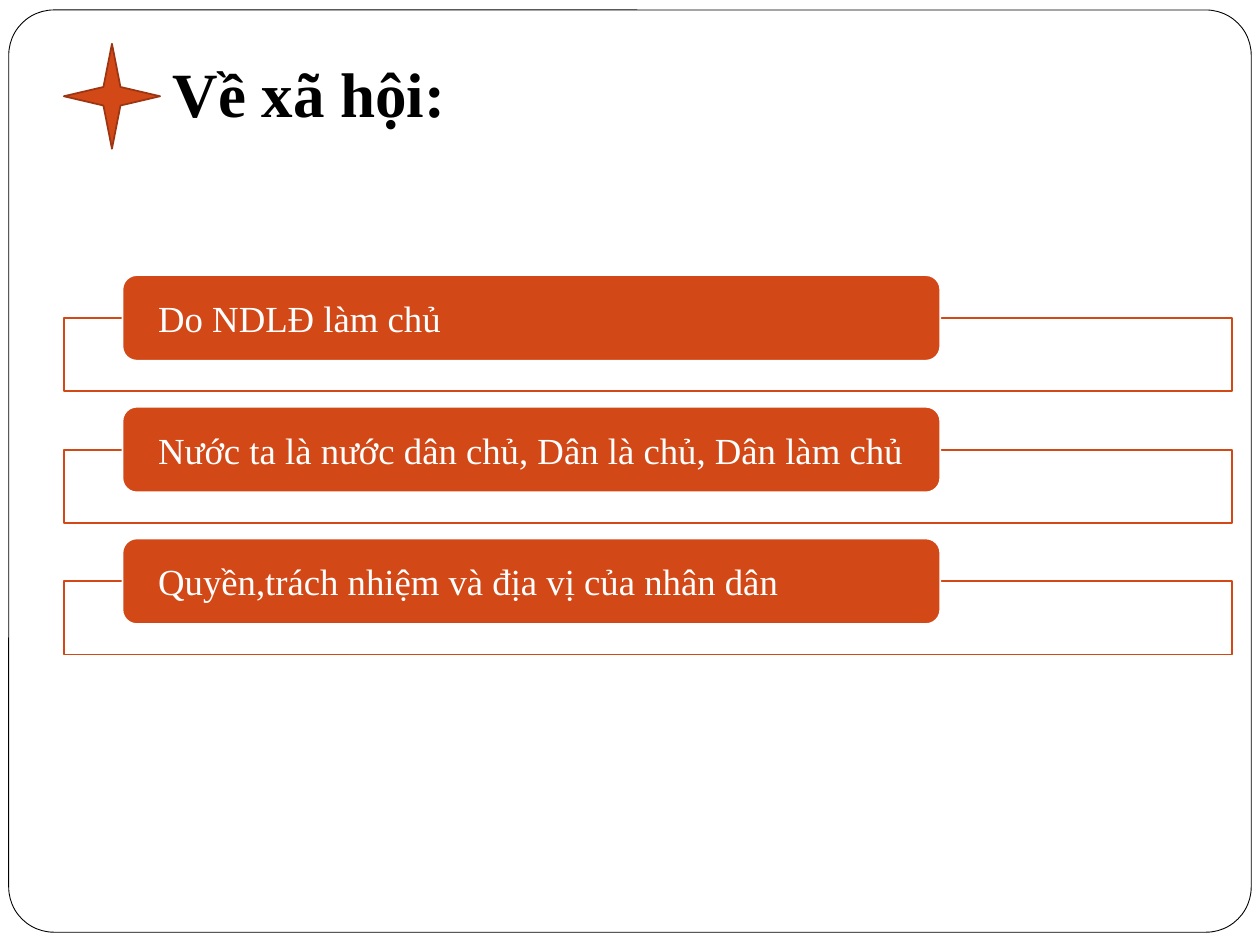
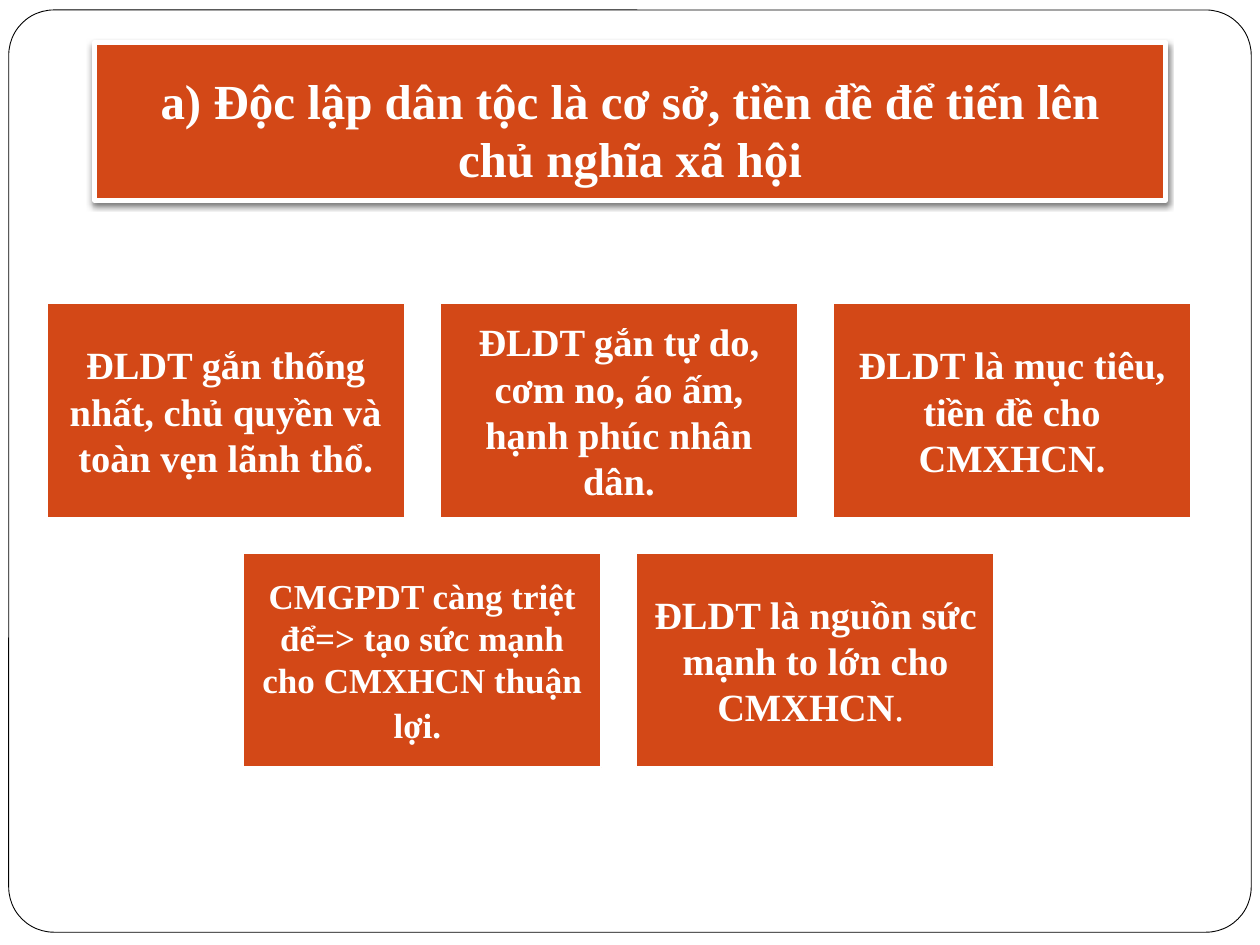
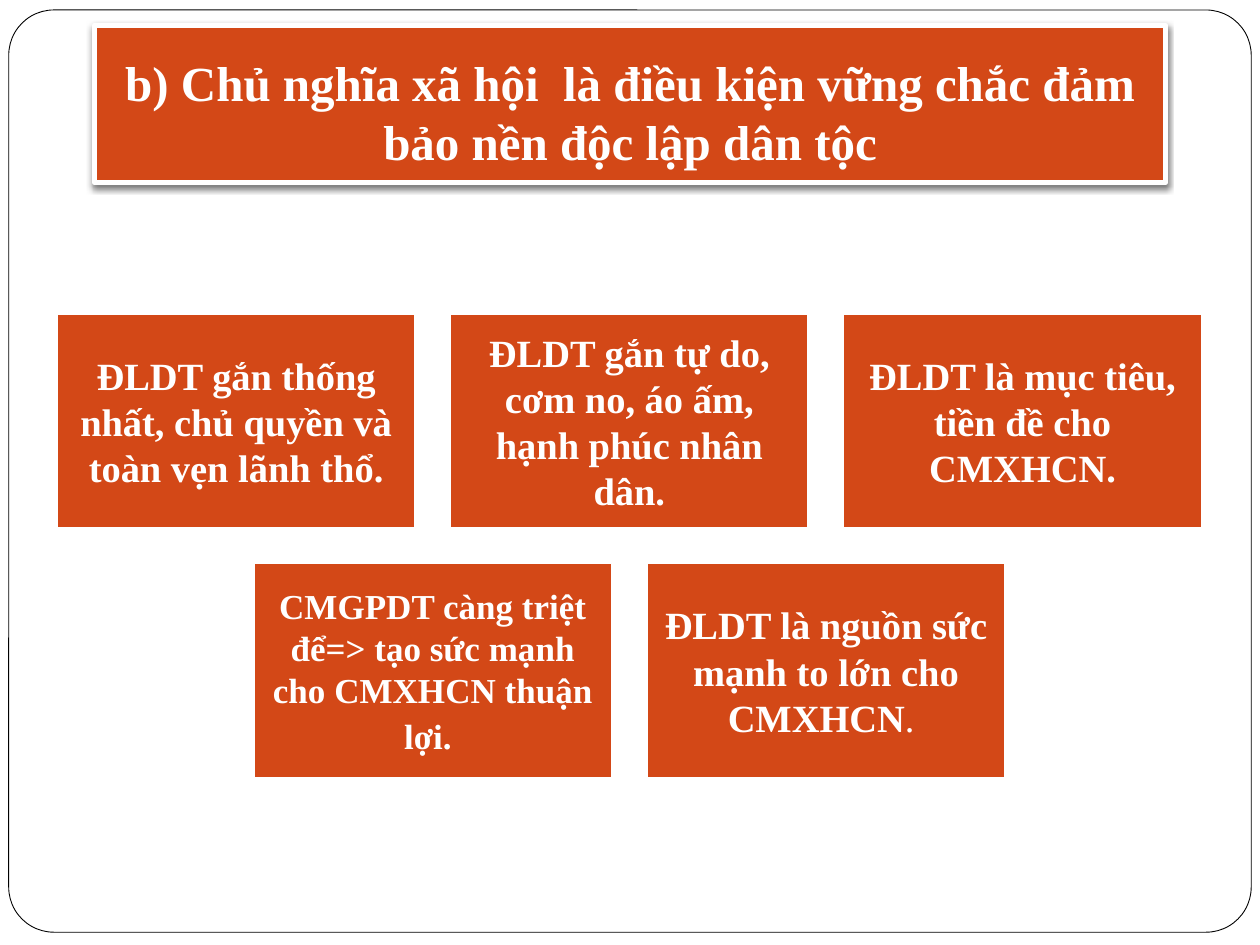
import pptx
import pptx.dml.color
import pptx.enum.shapes
import pptx.enum.text
import pptx.oxml
import pptx.oxml.ns
import pptx.util
from lxml import etree

Pt = pptx.util.Pt
RGBColor = pptx.dml.color.RGBColor
SHAPE = pptx.enum.shapes.MSO_SHAPE
ALIGN = pptx.enum.text.PP_ALIGN
ANCHOR = pptx.enum.text.MSO_ANCHOR
qn = pptx.oxml.ns.qn

ORANGE = RGBColor(0xD3, 0x48, 0x17)
RUST = RGBColor(0x9C, 0x35, 0x11)
WHITE = RGBColor(0xFF, 0xFF, 0xFF)
BLACK = RGBColor(0, 0, 0)
FONT = "Times New Roman"

TITLE_INSETS = (7.2, 3.6, 7.2, 7.2)
BAND_PITCH = 75.25
CARD_WIDTH, CARD_HEIGHT = 204.5, 122.4
CARD_GAP = 20.2

SOCIETY_POINTS = [
    "Do NDLĐ làm chủ",
    "Nước ta là nước dân chủ, Dân là chủ, Dân làm chủ",
    "Quyền,trách nhiệm và địa vị của nhân dân",
]
CARD_ROWS = [
    [
        ("ĐLDT gắn thống nhất, chủ quyền và toàn vẹn lãnh thổ.", 22, ""),
        ("ĐLDT gắn tự do, cơm no, áo ấm, hạnh phúc nhân dân.", 22, ""),
        ("ĐLDT là mục tiêu, tiền đề cho CMXHCN.", 22, ""),
    ],
    [
        ("CMGPDT càng triệt để=> tạo sức mạnh cho CMXHCN thuận lợi.", 20, " "),
        ("ĐLDT là nguồn sức mạnh to lớn cho CMXHCN", 22, ". "),
    ],
]


def paint(shape, fill, line, line_width):
    """Give a shape a flat fill and outline without a shadow."""
    shape.shadow.inherit = False
    shape.fill.solid()
    shape.fill.fore_color.rgb = fill
    shape.line.color.rgb = line
    shape.line.width = Pt(line_width)


def add_figure(slide, preset, box, fill, line, line_width=1):
    """Add a painted preset shape at a left, top, width, height box."""
    figure = slide.shapes.add_shape(preset, *map(Pt, box))
    paint(figure, fill, line, line_width)
    return figure


def style_run(run, size, color, bold):
    """Set the font of one run."""
    run.font.name = FONT
    run.font.size = Pt(size)
    run.font.bold = bold
    run.font.color.rgb = color


def write(shape, text, size, color, bold, align, anchor, insets):
    """Write one styled paragraph into a shape and return the paragraph."""
    frame = shape.text_frame
    frame.word_wrap = True
    frame.auto_size = pptx.enum.text.MSO_AUTO_SIZE.NONE
    frame.vertical_anchor = anchor
    (frame.margin_left, frame.margin_top,
     frame.margin_right, frame.margin_bottom) = map(Pt, insets)
    frame.text = text
    paragraph = frame.paragraphs[0]
    paragraph.alignment = align
    for run in paragraph.runs:
        style_run(run, size, color, bold)
    return paragraph


def place_title(slide, text, box, size, color, align):
    """Move the title placeholder and write the title."""
    title = slide.shapes.title
    title.left, title.top, title.width, title.height = map(Pt, box)
    write(title, text, size, color, True, align, ANCHOR.BOTTOM, TITLE_INSETS)
    return title


def place_banner(slide, text, top):
    """Show the title as an orange banner with a soft shadow."""
    banner = place_title(slide, text, (54, top, 612, 90), 28, WHITE, ALIGN.CENTER)
    paint(banner, ORANGE, WHITE, 3)
    effects = banner._element.spPr.find(qn("a:effectLst"))
    shadow = etree.SubElement(effects, qn("a:outerShdw"), blurRad=str(Pt(3)),
                              dist=str(Pt(2)), dir="5400000", rotWithShape="0")
    black = etree.SubElement(shadow, qn("a:srgbClr"), val=str(BLACK))
    etree.SubElement(black, qn("a:alpha"), val="50000")


def add_band(slide, text, top):
    """Add an outlined strip with a rounded label over its upper edge."""
    strip = add_figure(slide, SHAPE.RECTANGLE, (36.7, top + 24.5, 667.4, 41.8),
                       WHITE, ORANGE)
    strip_color = strip._element.spPr.find(qn("a:solidFill"))[0]
    etree.SubElement(strip_color, qn("a:alpha"), val="90000")
    label = add_figure(slide, SHAPE.ROUNDED_RECTANGLE, (70, top, 467.3, 48.9),
                       ORANGE, WHITE)
    write(label, text, 21, WHITE, False, ALIGN.LEFT, ANCHOR.MIDDLE, (18, 0, 18, 0))


def add_card(slide, left, top, text, size, ending):
    """Add an orange card with bold text and an optional plain ending."""
    card = add_figure(slide, SHAPE.RECTANGLE, (left, top, CARD_WIDTH, CARD_HEIGHT),
                      ORANGE, WHITE)
    paragraph = write(card, text, size, WHITE, True, ALIGN.CENTER, ANCHOR.MIDDLE,
                      (6.5,) * 4)
    if ending:
        run = paragraph.add_run()
        run.text = ending
        style_run(run, 22, WHITE, False)


def add_card_grid(slide, left, top):
    """Lay out the card rows, centring shorter rows under the widest."""
    pitch = CARD_WIDTH + CARD_GAP
    widest = max(map(len, CARD_ROWS))
    for row, cards in enumerate(CARD_ROWS):
        row_left = left + (widest - len(cards)) * pitch / 2
        row_top = top + row * (CARD_HEIGHT + CARD_GAP)
        for column, card in enumerate(cards):
            add_card(slide, row_left + column * pitch, row_top, *card)


def add_layout_border(slide):
    """Put the rounded page border on the layout behind its placeholders."""
    border = add_figure(slide, SHAPE.ROUNDED_RECTANGLE, (5, 5.7, 710, 527),
                        WHITE, BLACK, 0.5)
    border.adjustments[0] = 0.049
    slide.slide_layout.shapes._spTree.insert(2, border._element)


def main():
    """Build the three slides and save the deck."""
    deck = pptx.Presentation()
    deck.slide_width, deck.slide_height = Pt(720), Pt(540)
    title_only = deck.slide_layouts[5]

    society = deck.slides.add_slide(title_only)
    add_layout_border(society)
    place_title(society, "Về xã hội:", (91.4, 28.8, 566.6, 52.5), 36, BLACK, ALIGN.LEFT)
    for index, point in enumerate(SOCIETY_POINTS):
        add_band(society, point, 157.2 + index * BAND_PITCH)
    add_figure(society, SHAPE.STAR_4_POINT, (36.5, 25, 55, 60), ORANGE, RUST)

    independence = deck.slides.add_slide(title_only)
    place_banner(independence, "a) Độc lập dân tộc là cơ sở, tiền đề để tiến lên\v"
                 "chủ nghĩa xã hội", 24.5)
    add_card_grid(independence, 26.7, 173.5)

    socialism = deck.slides.add_slide(title_only)
    place_banner(socialism, "b) Chủ nghĩa xã hội  là điều kiện vững chắc đảm "
                 "bảo nền độc lập dân tộc", 14.4)
    add_card_grid(socialism, 32.7, 179.5)

    deck.save("out.pptx")


if __name__ == "__main__":
    main()
